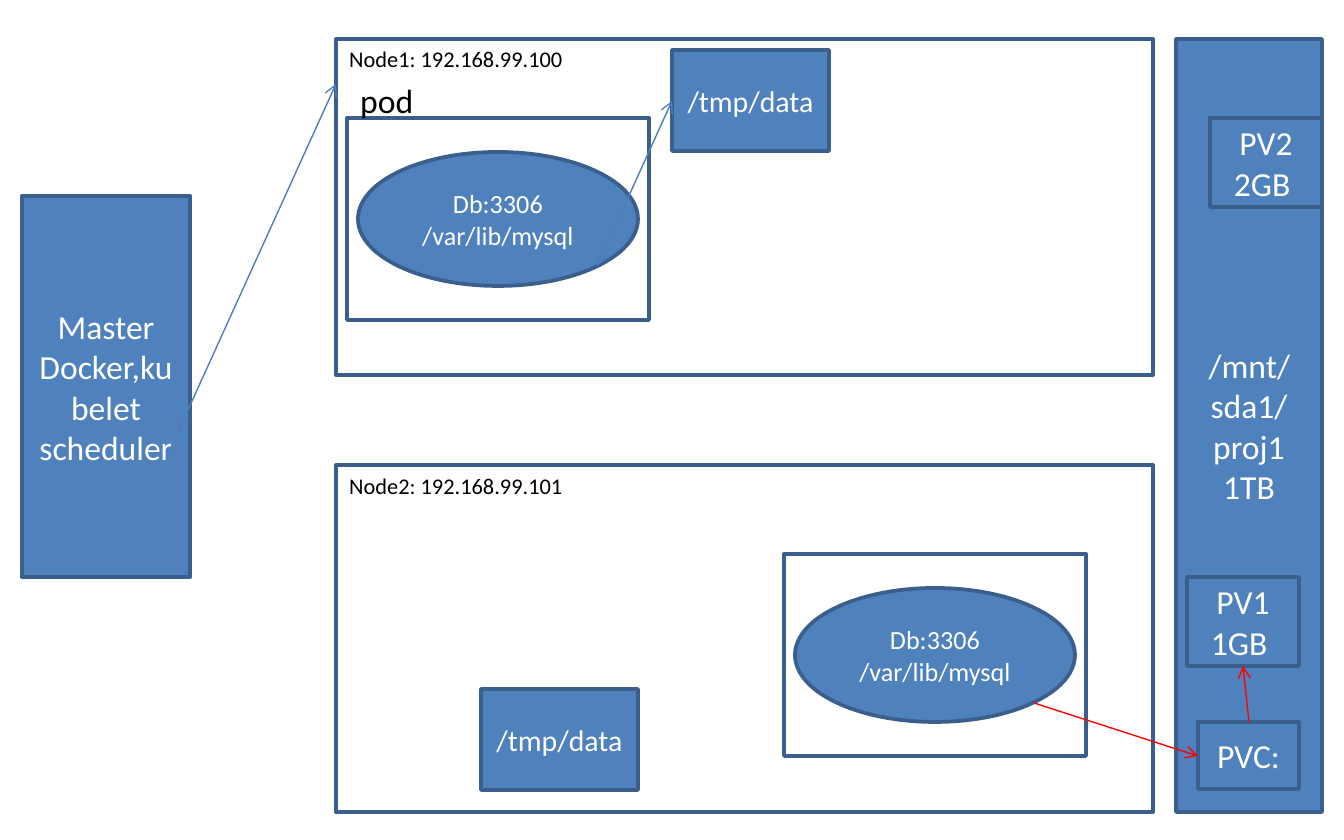
from dataclasses import dataclass

from lxml import etree
from pptx import Presentation
from pptx.dml.color import RGBColor
from pptx.enum.shapes import MSO_CONNECTOR as Connector, MSO_SHAPE as Shape
from pptx.enum.text import MSO_ANCHOR as Anchor, MSO_AUTO_SIZE as AutoSize, PP_ALIGN as Align
from pptx.oxml.ns import qn
from pptx.util import Pt

EMU_PER_PIXEL = 914400 / 134.4


def px(length):
    """Turn pixels into EMU."""
    return round(length * EMU_PER_PIXEL)


@dataclass(frozen=True)
class Theme:
    """Colours, font and sizes of the slide."""
    font: str = "Calibri"
    fill: str = "4F81BD"
    border: str = "3A5F8C"
    link: str = "4B7EBC"
    claim: str = "FF0000"
    light: str = "FFFFFF"
    dark: str = "000000"
    large: int = 18
    folder: int = 16
    database: int = 14
    caption: int = 12
    border_width: float = 2
    link_width: float = 0.75


class Diagram:
    """Draws the cluster's parts on one slide."""

    def __init__(self, slide, theme):
        """Keep the slide and its style."""
        self.shapes = slide.shapes
        self.theme = theme

    def set_text(self, frame, lines, size, color, align):
        """Fill a text frame with one paragraph per line."""
        frame.text = "\n".join(lines)
        for paragraph in frame.paragraphs:
            paragraph.alignment = align
            paragraph.font.name = self.theme.font
            paragraph.font.size = Pt(size)
            paragraph.font.color.rgb = RGBColor.from_string(color)

    def frame(self, left, top, width, height, kind=Shape.RECTANGLE):
        """Add an outlined shape without fill."""
        outline = self.shapes.add_shape(kind, px(left), px(top), px(width), px(height))
        outline.shadow.inherit = False
        outline.fill.background()
        outline.line.color.rgb = RGBColor.from_string(self.theme.border)
        outline.line.width = Pt(self.theme.border_width)
        return outline

    def block(self, bounds, lines, size, kind=Shape.RECTANGLE):
        """Add a filled shape with centred text."""
        body = self.frame(*bounds, kind)
        body.fill.solid()
        body.fill.fore_color.rgb = RGBColor.from_string(self.theme.fill)
        body.text_frame.word_wrap = True
        body.text_frame.vertical_anchor = Anchor.MIDDLE
        self.set_text(body.text_frame, lines, size, self.theme.light, Align.CENTER)

    def label(self, left, top, width, height, text, size):
        """Add dark text that does not wrap."""
        box = self.shapes.add_textbox(px(left), px(top), px(width), px(height)).text_frame
        box.word_wrap = False
        box.auto_size = AutoSize.SHAPE_TO_FIT_TEXT
        self.set_text(box, [text], size, self.theme.dark, Align.LEFT)

    def arrow(self, start, end, color, ends=("tailEnd",)):
        """Add a straight line with open arrowheads."""
        link = self.shapes.add_connector(Connector.STRAIGHT, *map(px, start + end))
        link.line.color.rgb = RGBColor.from_string(color)
        link.line.width = Pt(self.theme.link_width)
        properties = link._element.spPr
        for end_name in ends:
            etree.SubElement(properties.find(qn("a:ln")), qn(f"a:{end_name}"), type="arrow")
        etree.SubElement(properties, qn("a:effectLst"))

    def node(self, top, height, name):
        """Add a cluster node with its caption."""
        self.frame(336, top, 817, height)
        self.label(336, top, 243, 41, name, self.theme.caption)

    def pod(self, left, top):
        """Add a pod holding its database."""
        self.block((left + 11, top + 34, 280, 134), ["Db:3306", "/var/lib/mysql"],
                   self.theme.database, Shape.OVAL)
        self.frame(left, top, 302, 202)

    def host_folder(self, left, top):
        """Add a node's local data folder."""
        self.block((left, top, 157, 101), ["/tmp/data"], self.theme.folder)


deck = Presentation()
deck.slide_width, deck.slide_height = px(1344), px(840)
theme = Theme()
cluster = Diagram(deck.slides.add_slide(deck.slide_layouts[6]), theme)

cluster.block((22, 196, 168, 381), ["Master", "Docker,kubelet", "scheduler"], theme.large)
cluster.node(39, 336, "Node1: 192.168.99.100")
cluster.node(465, 347, "Node2: 192.168.99.101")

cluster.pod(347, 118)
cluster.arrow((168, 454), (336, 84), theme.link)
cluster.label(347, 73, 81, 54, "pod", theme.large)
cluster.host_folder(672, 50)
cluster.arrow((597, 266), (672, 101), theme.link, ("headEnd", "tailEnd"))
cluster.host_folder(481, 689)

storage = [
    ((1176, 39, 146, 773), ["/mnt/sda1/proj1", "1TB"]),
    ((1187, 577, 112, 89), ["PV1", "1GB "]),
    ((1210, 118, 112, 89), ["PV2", "2GB "]),
    ((1198, 722, 101, 67), ["PVC:"]),
]
for bounds, lines in storage:
    cluster.block(bounds, lines, theme.large)

cluster.arrow((1249, 722), (1243, 666), theme.claim)
cluster.pod(784, 554)
cluster.arrow((1034, 703), (1198, 756), theme.claim)

deck.save("out.pptx")
